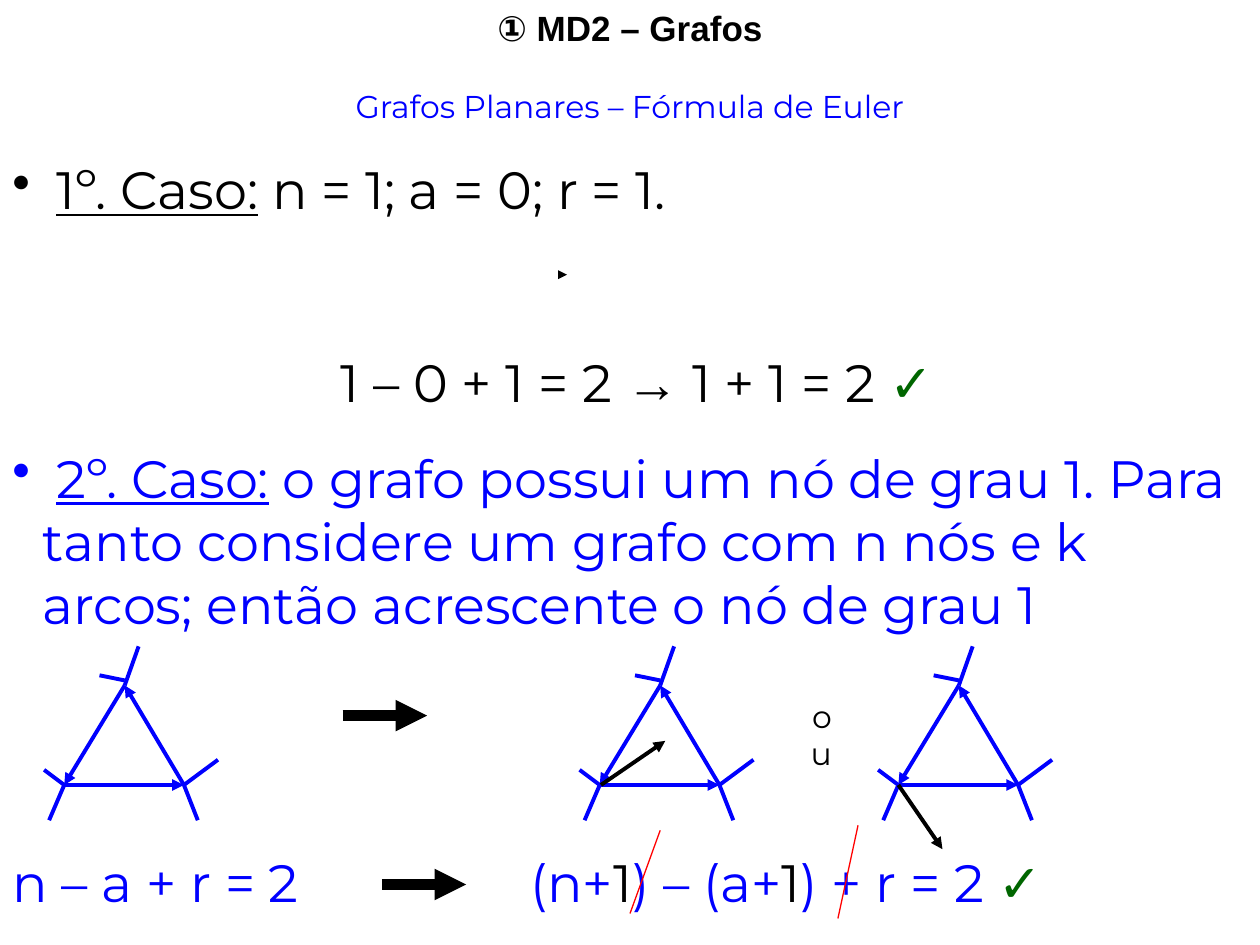
from dataclasses import dataclass
from typing import Any, NamedTuple

from lxml.etree import SubElement
from pptx import Presentation
from pptx.dml.color import RGBColor
from pptx.enum.shapes import MSO_CONNECTOR, MSO_SHAPE
from pptx.enum.text import MSO_ANCHOR, MSO_AUTO_SIZE, PP_ALIGN
from pptx.oxml.ns import qn
from pptx.util import Inches, Pt


@dataclass(frozen=True)
class Theme:
    black: str = "000000"
    blue: str = "0000FF"
    green: str = "006600"
    red: str = "FF0000"
    white: str = "FFFFFF"
    heading_font: str = "Arial"
    body_font: str = "Montserrat"
    title_size: float = 20
    small_size: float = 18
    body_size: float = 30
    space_before: float = 18.7
    thin: float = 0.75
    edge: float = 2.25
    thick: float = 6


THEME = Theme()


class Span(NamedTuple):
    text: str
    color: str = THEME.black
    size: float = THEME.body_size
    font: str = THEME.body_font
    bold: bool = False
    underline: bool = False


class Para(NamedTuple):
    spans: list[Span]
    align: PP_ALIGN = PP_ALIGN.LEFT
    before: float = 0
    bullet: str = ""
    tabs: int = 0


class Point(NamedTuple):
    x: float
    y: float


class Segment(NamedTuple):
    start: Point
    end: Point
    color: str = THEME.blue
    width: float = THEME.edge
    arrow: bool = False


def apply_format(target: Any, values: dict[str, Any]) -> None:
    for name, value in values.items():
        setattr(target, name, value)


def place(shape: Any, left: float, top: float, width: float, height: float) -> None:
    apply_format(shape, {"left": Inches(left), "top": Inches(top),
                         "width": Inches(width), "height": Inches(height)})


def write_paragraph(paragraph: Any, para: Para) -> None:
    apply_format(paragraph, {"alignment": para.align, "space_before": Pt(para.before)})
    properties = paragraph._p.get_or_add_pPr()
    if para.bullet:
        hang = Inches(0.24)
        properties.set("marL", str(hang))
        properties.set("indent", str(-hang))
        bullet_color = SubElement(properties, qn("a:buClr"))
        SubElement(bullet_color, qn("a:srgbClr"), val=para.bullet)
        SubElement(properties, qn("a:buChar"), char="•")
    if para.tabs:
        stops = SubElement(properties, qn("a:tabLst"))
        for inch in range(1, para.tabs + 1):
            SubElement(stops, qn("a:tab"), pos=str(Inches(inch)), algn="l")
    for span in para.spans:
        run = paragraph.add_run()
        run.text = span.text
        apply_format(run.font, {"name": span.font, "size": Pt(span.size),
                                "bold": span.bold, "underline": span.underline})
        run.font.color.rgb = RGBColor.from_string(span.color)


def write_text(shape: Any, paras: list[Para]) -> None:
    frame = shape.text_frame
    apply_format(frame, {"word_wrap": True, "auto_size": MSO_AUTO_SIZE.NONE,
                         "vertical_anchor": MSO_ANCHOR.TOP})
    for index, para in enumerate(paras):
        write_paragraph(frame.add_paragraph() if index else frame.paragraphs[0], para)


def add_text(slide: Any, left: float, top: float, width: float, height: float,
             paras: list[Para]) -> None:
    write_text(slide.shapes.add_textbox(
        Inches(left), Inches(top), Inches(width), Inches(height)), paras)


def draw_segment(slide: Any, segment: Segment) -> None:
    ends = [Inches(value) for value in (*segment.start, *segment.end)]
    connector = slide.shapes.add_connector(MSO_CONNECTOR.STRAIGHT, *ends)
    connector.line.width = Pt(segment.width)
    connector.line.color.rgb = RGBColor.from_string(segment.color)
    if segment.arrow:
        SubElement(connector.line._get_or_add_ln(), qn("a:tailEnd"), type="triangle")
    SubElement(connector._element.spPr, qn("a:effectLst"))


def draw_graph(slide: Any, left: float, base: float) -> None:
    def at(dx: float, dy: float) -> Point:
        return Point(left + dx, base + dy)

    west, east, apex = at(0, 0), at(0.95, 0), at(0.48, -0.79)
    for start, end in ((apex, west), (east, apex), (west, east)):
        draw_segment(slide, Segment(start, end, arrow=True))
    loose_ends = (
        (apex, at(0.59, -1.1)),
        (at(0.48, -0.83), at(0.28, -0.87)),
        (west, at(-0.16, -0.12)),
        (west, at(-0.12, 0.28)),
        (east, at(1.22, -0.2)),
        (east, at(1.06, 0.28)),
    )
    for start, end in loose_ends:
        draw_segment(slide, Segment(start, end))


def draw_node(slide: Any, left: float, top: float, side: float) -> None:
    node = slide.shapes.add_shape(MSO_SHAPE.RECTANGLE, Inches(left), Inches(top),
                                  Inches(side), Inches(side))
    node.shadow.inherit = False
    node.fill.solid()
    for color in (node.fill.fore_color, node.line.color):
        color.rgb = RGBColor.from_string(THEME.white)
    node.line.width = Pt(THEME.thin)


def case(label: str, statement: str, color: str) -> Para:
    return Para([Span(" ", color), Span(label, color, underline=True),
                 Span(statement, color)], before=THEME.space_before, bullet=color)


def main() -> None:
    presentation = Presentation()
    apply_format(presentation, {"slide_width": Inches(10), "slide_height": Inches(7.5)})
    slide = presentation.slides.add_slide(presentation.slide_layouts[5])
    check = Span("✓", THEME.green, font=THEME.heading_font)
    blue, black = THEME.blue, THEME.black

    title = slide.shapes.title
    place(title, 0, 0, 10, 0.44)
    write_text(title, [Para([Span("① MD2 – Grafos", size=THEME.title_size,
                                  font=THEME.heading_font, bold=True)], PP_ALIGN.CENTER)])

    add_text(slide, 0, 0.64, 10, 4.44, [
        Para([Span("Grafos Planares – Fórmula de Euler", blue, THEME.small_size)],
             PP_ALIGN.CENTER),
        case("1º. Caso:", " n = 1; a = 0; r = 1.", black),
        Para([Span(" 1 – 0 + 1 = 2 "), Span("→", font=THEME.heading_font),
              Span(" 1 + 1 = 2 "), check], PP_ALIGN.CENTER, before=74),
        case("2º. Caso:", " o grafo possui um nó de grau 1. Para tanto considere um grafo "
             "com n nós e k arcos; então acrescente o nó de grau 1", blue),
    ])
    add_text(slide, 0, 6.7, 10, 0.6, [
        Para([Span("n – a + r = 2\t\t (n+", blue), Span("1"), Span(") – (a+", blue),
              Span("1"), Span(") + r = 2 ", blue), check], tabs=8)])
    add_text(slide, 6.2, 5.48, 0.5, 0.4, [
        Para([Span("ou", size=THEME.small_size)], PP_ALIGN.RIGHT)])

    draw_segment(slide, Segment(Point(4.31, 2.18), Point(4.5, 2.18), black, THEME.thin, True))
    draw_node(slide, 4.13, 2.02, 0.29)

    for graph_left in (0.51, 4.76, 7.13):
        draw_graph(slide, graph_left, 6.23)

    new_arcs = [Segment(Point(4.77, 6.23), Point(5.28, 5.88), black, arrow=True),
                Segment(Point(7.13, 6.23), Point(7.48, 6.74), black, arrow=True)]
    implications = [Segment(Point(x, y), Point(x + 0.67, y), black, THEME.thick, True)
                    for x, y in ((2.72, 5.68), (3.03, 7.02))]
    cancellations = [Segment(Point(5.24, 6.59), Point(5, 7.25), THEME.red, THEME.thin),
                     Segment(Point(6.81, 6.55), Point(6.65, 7.29), THEME.red, THEME.thin)]
    for segment in new_arcs + implications + cancellations:
        draw_segment(slide, segment)

    presentation.save("out.pptx")


if __name__ == "__main__":
    main()
